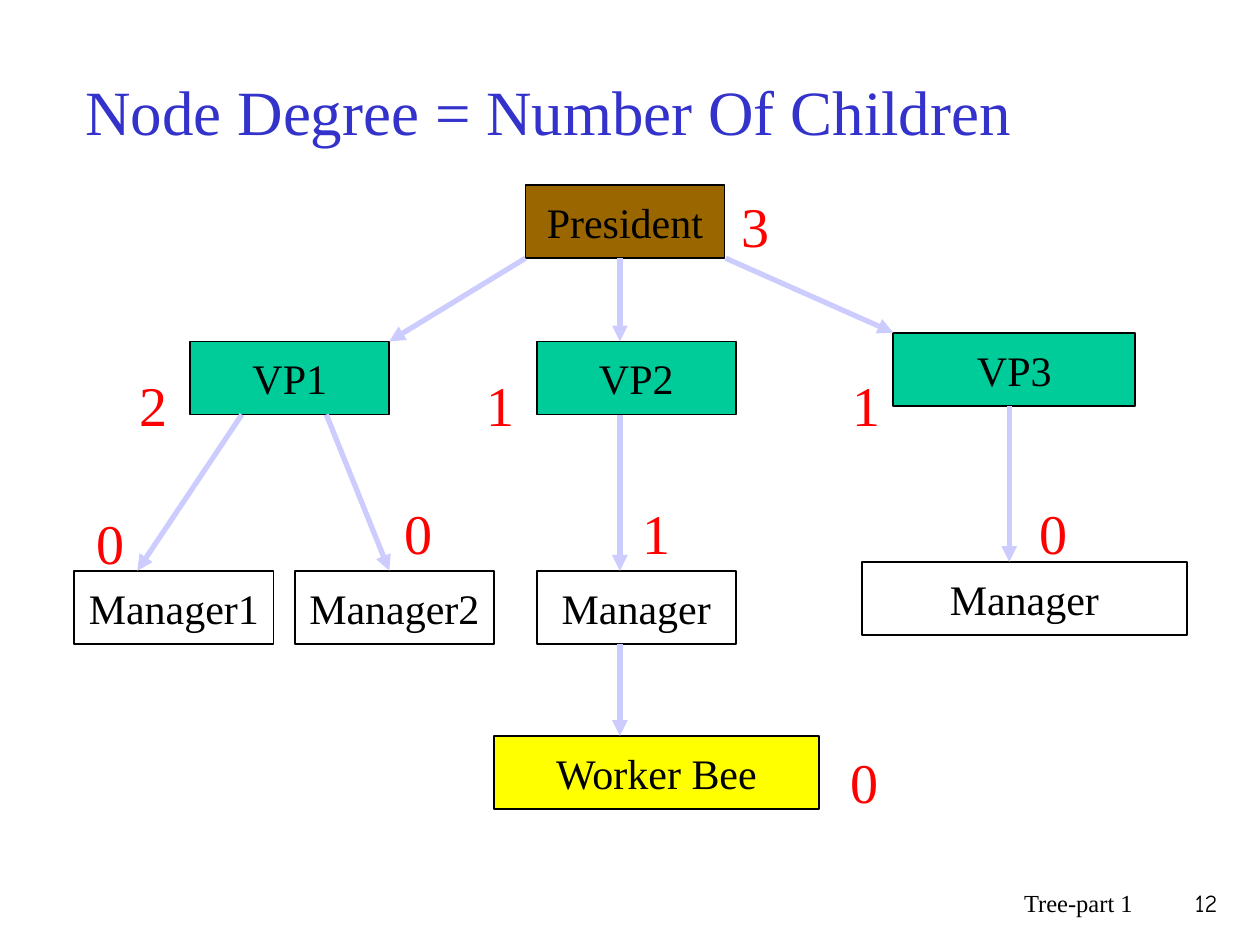
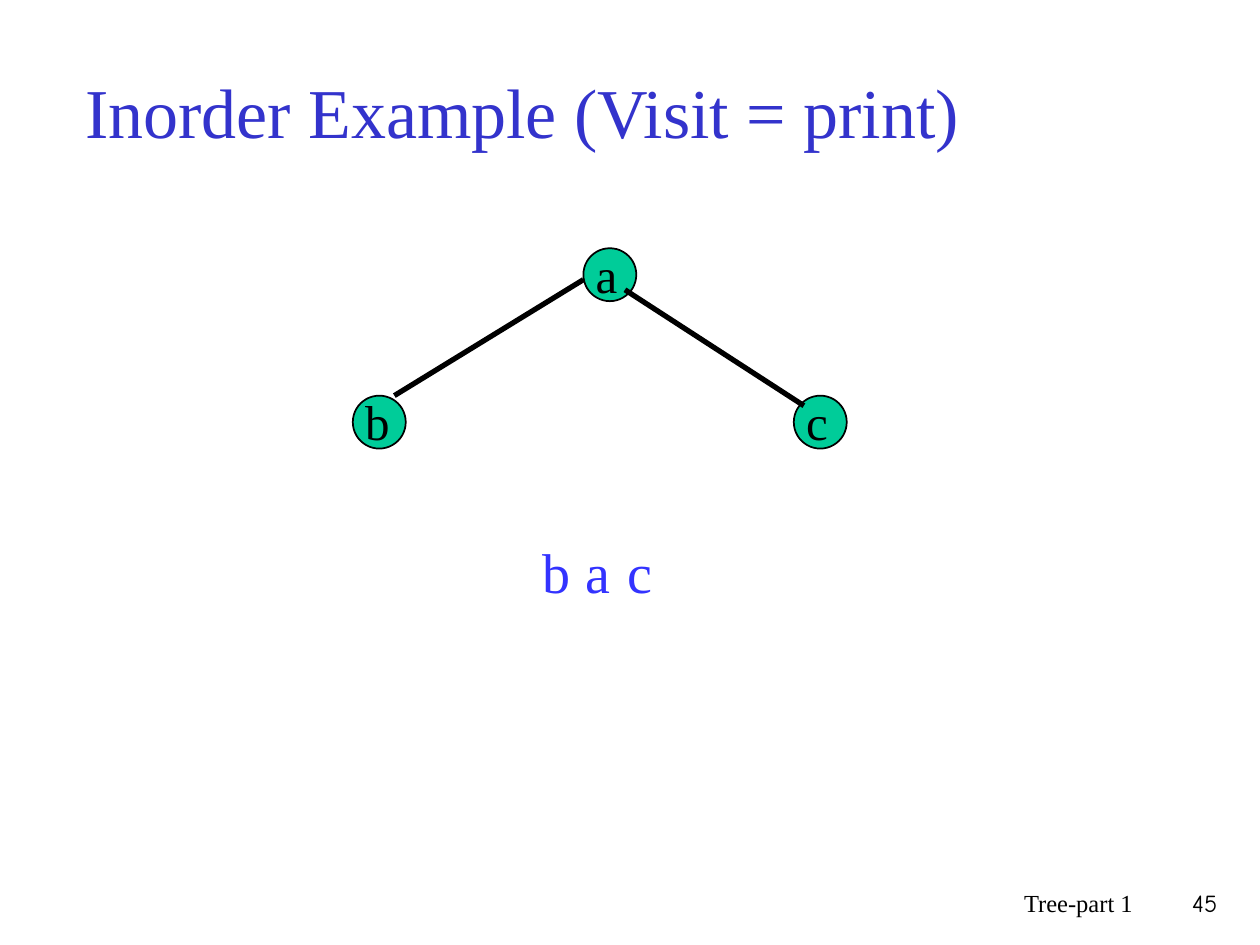
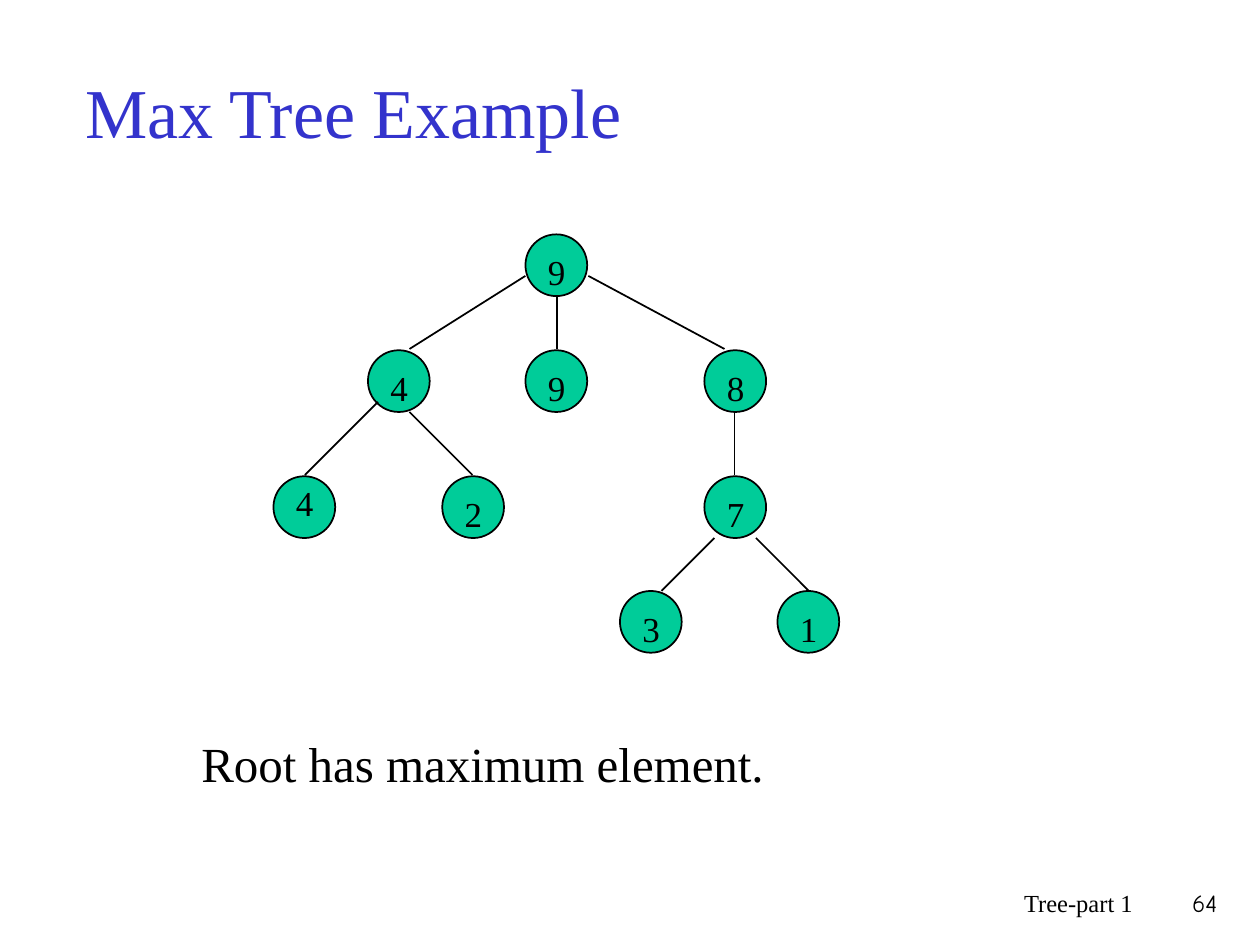
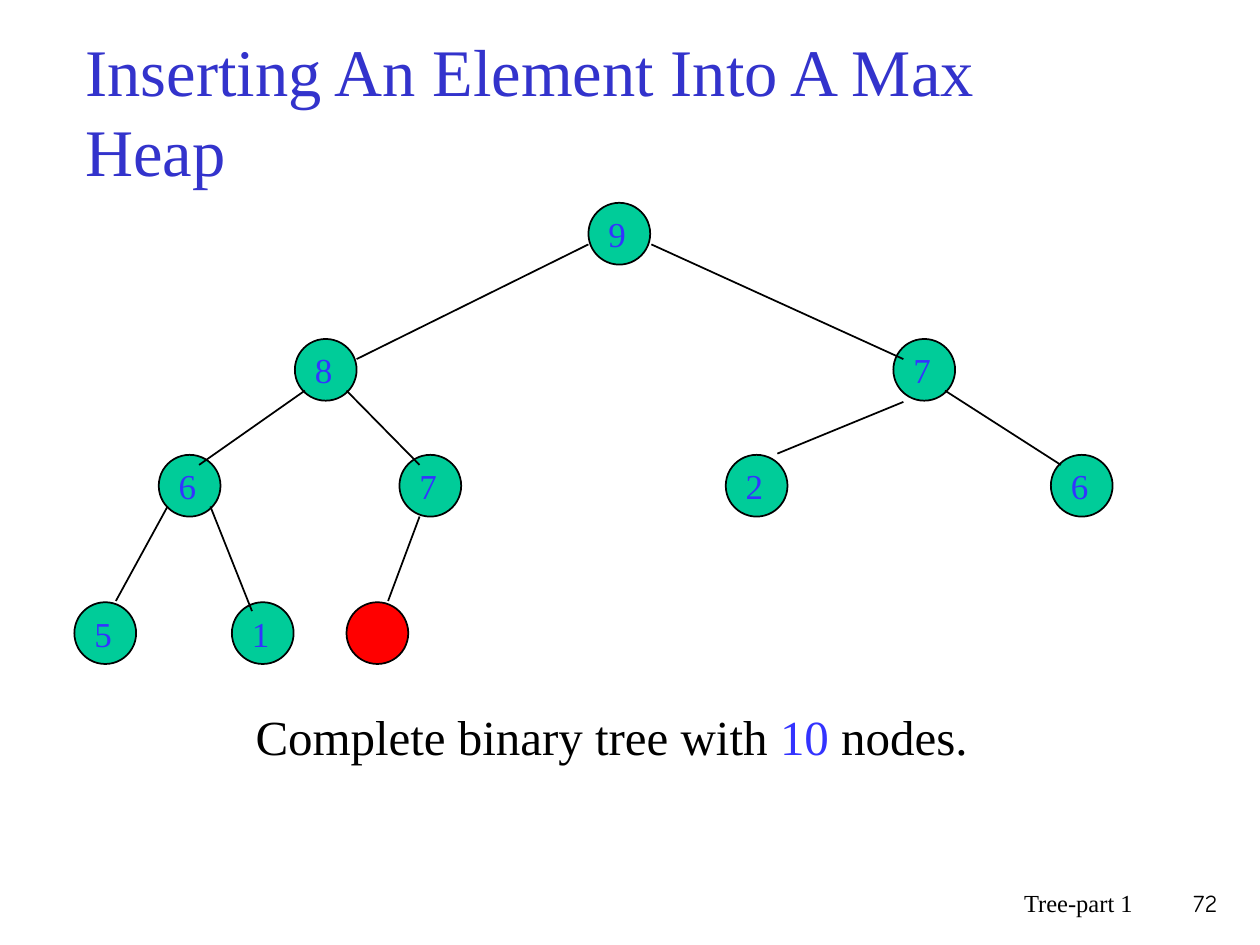
from pptx import Presentation
from pptx.dml.color import RGBColor
from pptx.enum.shapes import MSO_CONNECTOR, MSO_SHAPE
from pptx.enum.text import MSO_ANCHOR, PP_ALIGN
from pptx.oxml.ns import qn
from pptx.util import Inches, Pt
from lxml.etree import SubElement

BLACK = RGBColor(0x00, 0x00, 0x00)
WHITE = RGBColor(0xFF, 0xFF, 0xFF)
NAVY = RGBColor(0x33, 0x33, 0xCC)
BLUE = RGBColor(0x33, 0x33, 0xFF)
RED = RGBColor(0xFF, 0x00, 0x00)
GREEN = RGBColor(0x00, 0xCC, 0x99)
BROWN = RGBColor(0x99, 0x66, 0x00)
YELLOW = RGBColor(0xFF, 0xFF, 0x00)
LILAC = RGBColor(0xCC, 0xCC, 0xFF)
SERIF = "Times New Roman"


def write(slide, text, place, size=24, color=BLACK, font=SERIF, align=PP_ALIGN.LEFT,
          anchor=MSO_ANCHOR.TOP, wrap=True, kind=None, fill=None, hang=0):
    area = [Inches(n) for n in place]
    if kind is None:
        shape = slide.shapes.add_textbox(*area)
    else:
        shape = slide.shapes.add_shape(kind, *area)
        shape.shadow.inherit = False
        shape.fill.solid()
        shape.fill.fore_color.rgb = fill
        shape.line.color.rgb = BLACK
        shape.line.width = Pt(1)
    if not text:
        return
    frame = shape.text_frame
    frame.word_wrap = wrap
    frame.vertical_anchor = anchor
    para = frame.paragraphs[0]
    para.alignment = align
    if hang:
        props = para._p.get_or_add_pPr()
        props.set("marL", str(Inches(hang)))
        props.set("indent", str(Inches(-hang)))
    parts = [(text, color)] if isinstance(text, str) else text
    for words, tint in parts:
        run = para.add_run()
        run.text = words
        run.font.size = Pt(size)
        run.font.name = font
        run.font.color.rgb = tint


def link(slide, ends, color=BLACK, width=1, arrow=False):
    line = slide.shapes.add_connector(MSO_CONNECTOR.STRAIGHT, *[Inches(n) for n in ends])
    line.line.color.rgb = color
    line.line.width = Pt(width)
    if arrow:
        SubElement(line.line._get_or_add_ln(), qn("a:tailEnd"), type="triangle")
    SubElement(line._element.spPr, qn("a:effectLst"))


deck = Presentation()
deck.slide_width = Inches(10)
deck.slide_height = Inches(7.5)

slides = []
for title, size, number in [
    ("Node Degree = Number Of Children", 36, "12"),
    ("Inorder Example (Visit = print)", 40, "45"),
    ("Max Tree Example", 40, "64"),
    ("Inserting An Element Into A Max Heap", 38, "72"),
]:
    slide = deck.slides.add_slide(deck.slide_layouts[6])
    write(slide, title, (0.58, 0.25, 8.5, 1.25), size=size, color=NAVY,
          anchor=MSO_ANCHOR.MIDDLE)
    write(slide, "Tree-part 1", (5.92, 7, 3.17, 0.5), size=14, align=PP_ALIGN.RIGHT)
    write(slide, number, (9.08, 7, 0.68, 0.5), size=14, font="Comic Neue",
          align=PP_ALIGN.RIGHT)
    slides.append(slide)
degree, inorder, maxtree, heap = slides

for name, left, top, width, fill in [
    ("President", 4.17, 1.47, 1.58, BROWN),
    ("VP1", 1.51, 2.71, 1.58, GREEN),
    ("VP2", 4.26, 2.71, 1.58, GREEN),
    ("VP3", 7.09, 2.64, 1.92, GREEN),
    ("Manager1", 0.59, 4.53, 1.58, WHITE),
    ("Manager2", 2.34, 4.53, 1.58, WHITE),
    ("Manager", 4.26, 4.53, 1.58, WHITE),
    ("Manager", 6.84, 4.46, 2.58, WHITE),
    ("Worker Bee", 3.92, 5.84, 2.58, YELLOW),
]:
    write(degree, name, (left, top, width, 0.58), align=PP_ALIGN.CENTER,
          anchor=MSO_ANCHOR.MIDDLE, wrap=False, kind=MSO_SHAPE.RECTANGLE, fill=fill)

for ends in [
    (4.92, 2.05, 4.92, 2.71), (4.17, 2.05, 3.09, 2.71), (5.76, 2.05, 7.09, 2.64),
    (1.92, 3.29, 1.09, 4.53), (2.59, 3.29, 3.09, 4.53), (4.92, 3.29, 4.92, 4.53),
    (8.01, 3.22, 8.01, 4.46), (4.92, 5.11, 4.92, 5.84),
]:
    link(degree, ends, color=LILAC, width=3, arrow=True)

for count, left, top in [
    ("3", 5.79, 1.47), ("2", 1.01, 2.89), ("1", 3.76, 2.89), ("1", 6.67, 2.89),
    ("0", 0.67, 3.99), ("0", 3.11, 3.91), ("1", 5, 3.91), ("0", 8.15, 3.91),
    ("0", 6.65, 5.88),
]:
    write(degree, count, (left, top, 0.5, 0.63), size=32, color=RED)

nodes = [("c", 6.3, 3.14), ("b", 2.8, 3.14), ("a", 4.63, 1.97)]
for name, left, top in nodes:
    write(inorder, "", (left, top, 0.42, 0.42), kind=MSO_SHAPE.OVAL, fill=GREEN)
for ends in [(4.63, 2.22, 3.13, 3.14), (4.96, 2.3, 6.38, 3.22)]:
    link(inorder, ends, width=3)
for name, left, top in nodes:
    write(inorder, name, (left, top - 0.08, 0.83, 0.57), size=28)
for step, name in enumerate("bac"):
    write(inorder, name, (4.21 + step * 0.335, 4.22, 0.42, 0.63), size=32, color=BLUE)

nodes = [
    ("9", 4.17, 1.86, 0.08), ("4", 2.92, 2.78, 0.08), ("9", 4.17, 2.78, 0.08),
    ("8", 5.59, 2.78, 0.08), ("4", 2.17, 3.78, -0.01), ("2", 3.51, 3.78, 0.08),
    ("7", 5.59, 3.78, 0.08), ("1", 6.17, 4.69, 0.08), ("3", 4.92, 4.69, 0.08),
]
for name, left, top, drop in nodes:
    write(maxtree, "", (left, top, 0.49, 0.49), kind=MSO_SHAPE.OVAL, fill=GREEN)
for ends in [
    (4.17, 2.19, 3.25, 2.77), (4.42, 2.35, 4.42, 2.77), (4.67, 2.19, 5.75, 2.77),
    (3, 3.19, 2.42, 3.77), (3.25, 3.27, 3.75, 3.77), (5.83, 3.27, 5.83, 3.77),
    (5.67, 4.27, 5.25, 4.69), (6, 4.27, 6.42, 4.69),
]:
    link(maxtree, ends)
for name, left, top, drop in nodes:
    write(maxtree, name, (left + 0.08, top + drop, 0.33, 0.43), size=20)
write(maxtree, "Root has maximum element.", (1.5, 5.77, 7, 0.92), size=28, hang=0.38)

write(heap, [("Complete binary tree with ", BLACK), ("10 ", BLUE), ("nodes.", BLACK)],
      (1.93, 5.56, 7.17, 0.71), size=28, hang=0.38)
nodes = [
    ("9", 4.67, 1.61), ("8", 2.34, 2.69), ("7", 7.09, 2.69), ("6", 1.26, 3.61),
    ("7", 3.17, 3.61), ("2", 5.76, 3.61), ("6", 8.34, 3.61), ("5", 0.59, 4.78),
    ("1", 1.84, 4.78),
]
for name, left, top in nodes:
    write(heap, "", (left, top, 0.49, 0.49), kind=MSO_SHAPE.OVAL, fill=GREEN)
for ends in [
    (4.67, 1.94, 2.83, 2.85), (5.17, 1.94, 7.17, 2.85), (2.42, 3.1, 1.58, 3.69),
    (2.75, 3.1, 3.33, 3.69), (7.17, 3.19, 6.17, 3.6), (7.5, 3.1, 8.42, 3.69),
    (1.33, 4.02, 0.92, 4.77), (1.67, 4.02, 2, 4.85),
]:
    link(heap, ends)
for name, left, top in nodes:
    write(heap, name, (left + 0.06, top + 0.03, 0.34, 0.43), size=20, color=BLUE,
          wrap=False)
write(heap, "", (2.75, 4.78, 0.49, 0.49), kind=MSO_SHAPE.OVAL, fill=RED)
link(heap, (3.33, 4.1, 3.08, 4.77))

deck.save("out.pptx")
